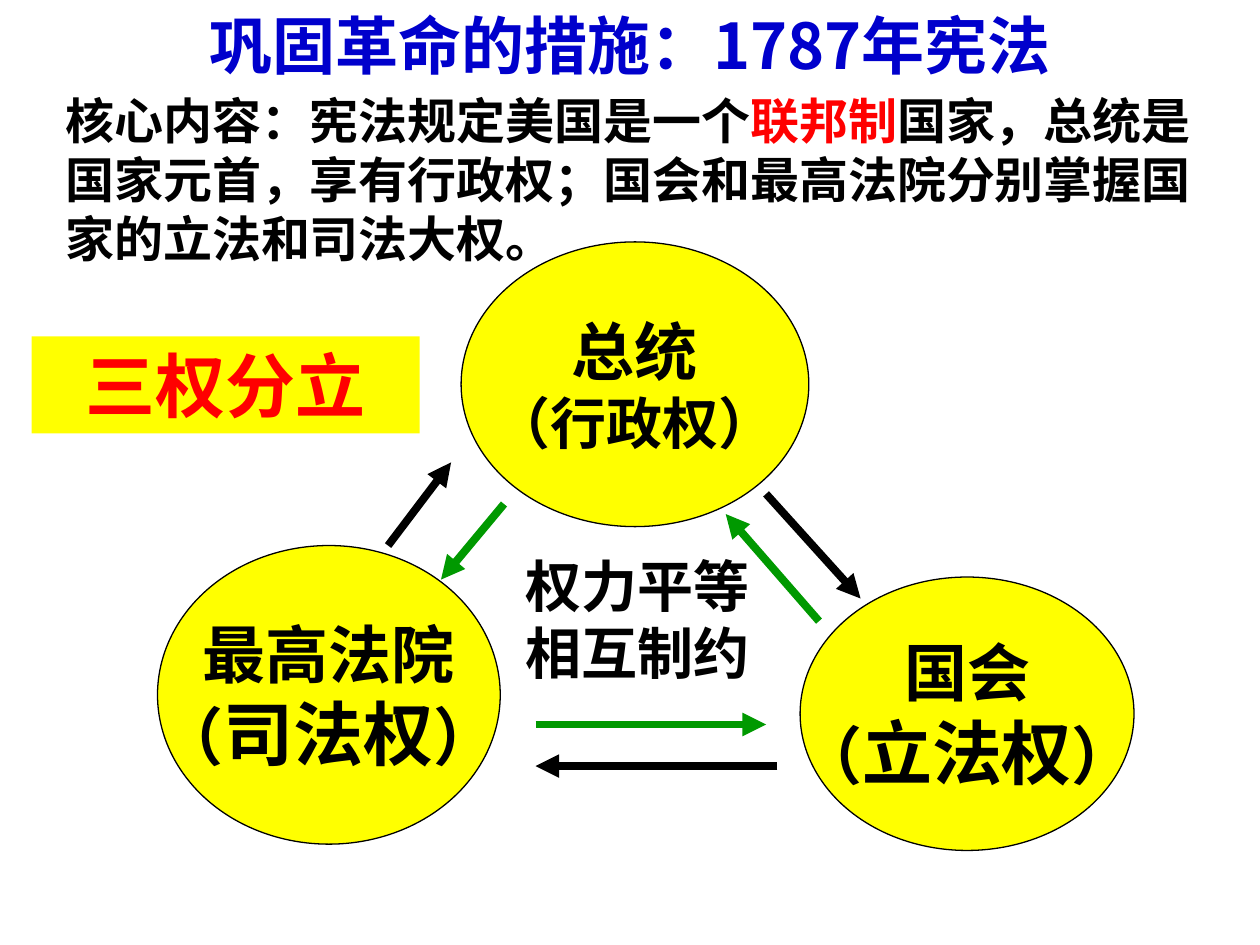
"""Build a slide on the separation of powers in the 1787 constitution."""
from lxml.etree import SubElement
from pptx import Presentation
from pptx.dml.color import RGBColor
from pptx.enum.shapes import MSO_CONNECTOR, MSO_SHAPE
from pptx.enum.text import MSO_ANCHOR, PP_ALIGN
from pptx.oxml.ns import qn
from pptx.util import Inches, Pt

COLORS = {name: RGBColor.from_string(value) for name, value in {
    "blue": "0000CC", "black": "000000", "red": "FF0000",
    "yellow": "FFFF00", "green": "009900"}.items()}
SANS, SERIF, CJK = "Arial", "Times New Roman", "Noto Sans CJK SC"

TITLE = "巩固革命的措施：1787年宪法"
CORE = [("核心内容：宪法规定美国是一个", "black"), ("联邦制", "red"),
        ("国家，总统是国家元首，享有行政权；国会和最高法院分别掌握国家的立法和司法大权。", "black")]
BALANCE = ["权力平等", "相互制约"]
SEPARATION = "三权分立"
BRANCHES = [
    ((3.66, 1.92, 2.76, 2.26), "总统", [("（行政权）", 32, SERIF)]),
    ((6.35, 4.58, 2.65, 2.17), "国会",
     [("（", 36, SERIF), ("立法权", 40, CJK), ("）", 36, SERIF)]),
    ((1.25, 4.33, 2.72, 2.37), "最高法院",
     [("（", 36, SERIF), ("司法权", 40, CJK), ("）", 36, SERIF)]),
]
CHECKS = [
    ("black", (6.08, 3.92), (6.83, 4.75)),
    ("black", (6.17, 6.08), (4.25, 6.08)),
    ("black", (3.08, 4.33), (3.58, 3.67)),
    ("green", (4, 4), (3.5, 4.6)),
    ("green", (4.25, 5.75), (6.08, 5.75)),
    ("green", (6.5, 4.93), (5.76, 4.08)),
]


def style(font, size, name, color="black"):
    font.size, font.name, font.bold = Pt(size), name, True
    font.color.rgb = COLORS[color]


def write(paragraph, runs, align=PP_ALIGN.CENTER):
    """Add (text, size, font, color) runs, styling the paragraph when they agree."""
    paragraph.alignment = align
    shared = len({run[1:] for run in runs}) == 1
    if shared:
        style(paragraph.font, *runs[0][1:])
    for text, *look in runs:
        run = paragraph.add_run()
        run.text = text
        if not shared:
            style(run.font, *look)


def place(shape, box):
    shape.left, shape.top, shape.width, shape.height = map(Inches, box)


def add_text(slide, box):
    frame = slide.shapes.add_textbox(*map(Inches, box)).text_frame
    frame.word_wrap = True
    return frame


def add_filled(slide, kind, box):
    shape = slide.shapes.add_shape(kind, *map(Inches, box))
    shape.shadow.inherit = False
    shape.fill.solid()
    shape.fill.fore_color.rgb = COLORS["yellow"]
    return shape


def add_branch(slide, box, name, power):
    branch = add_filled(slide, MSO_SHAPE.OVAL, box)
    branch.line.color.rgb, branch.line.width = COLORS["black"], Pt(0.75)
    frame = branch.text_frame
    frame.word_wrap = False
    frame.vertical_anchor = MSO_ANCHOR.MIDDLE
    write(frame.paragraphs[0], [(name, 36, SERIF)])
    write(frame.add_paragraph(), power)


def add_check(slide, color, start, end):
    arrow = slide.shapes.add_connector(MSO_CONNECTOR.STRAIGHT, *map(Inches, start + end))
    arrow.line.color.rgb, arrow.line.width = COLORS[color], Pt(4.5)
    SubElement(arrow.line._get_or_add_ln(), qn("a:tailEnd"), type="triangle")
    SubElement(arrow._element.spPr, qn("a:effectLst"))


def main():
    deck = Presentation()
    deck.slide_width, deck.slide_height = Inches(10), Inches(7.5)
    slide = deck.slides.add_slide(deck.slide_layouts[5])

    title = slide.shapes.title
    place(title, (0, 0, 10, 0.7))
    title.text_frame.vertical_anchor = MSO_ANCHOR.TOP
    write(title.text_frame.paragraphs[0], [(TITLE, 36, CJK, "blue")])

    core = add_text(slide, (0.42, 0.67, 9.25, 1.5))
    write(core.paragraphs[0], [(text, 28, SANS, color) for text, color in CORE], PP_ALIGN.LEFT)

    for branch in BRANCHES:
        add_branch(slide, *branch)
    for check in CHECKS:
        add_check(slide, *check)

    balance = add_text(slide, (3.75, 4.33, 2.62, 1.17))
    for index, line in enumerate(BALANCE):
        paragraph = balance.add_paragraph() if index else balance.paragraphs[0]
        write(paragraph, [(line, 32, SERIF)])

    separation = add_filled(slide, MSO_SHAPE.RECTANGLE, (0.25, 2.67, 3.08, 0.77))
    separation.line.fill.background()
    separation.text_frame.vertical_anchor = MSO_ANCHOR.TOP
    write(separation.text_frame.paragraphs[0], [(SEPARATION, 40, SANS, "red")])

    deck.save("out.pptx")


if __name__ == "__main__":
    main()
